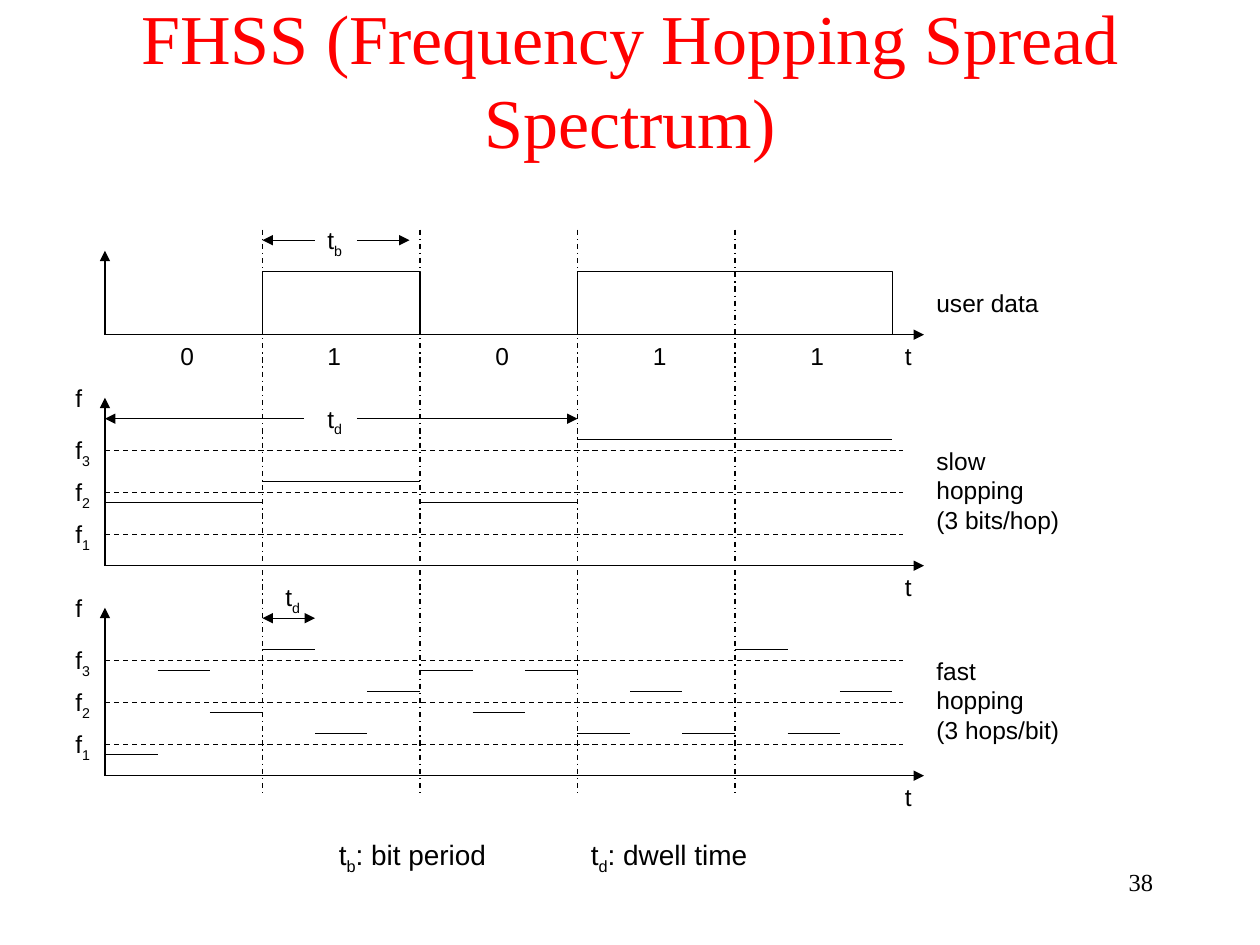
from itertools import groupby

from lxml import etree
from pptx import Presentation
from pptx import util as u
from pptx.dml.color import RGBColor
from pptx.enum import dml, shapes, text
from pptx.oxml.ns import qn

COLORS = {"ink": "000000", "title": "FF0000"}
SANS, SERIF = "Arial", "Times New Roman"
CELL, TOP_SHIFT = 1 / 12, -0.01
BITS = [0, 1, 0, 1, 1]
DIGIT_OFFSETS = [6, 5, 6, 6, 6]
BIT, HOP = 15, 5
LEFT, RIGHT = 10, 88
SLOW_CHANNELS = [2, 2, 2, 3, 3]
FAST_CHANNELS = [1, 3, 2, 3, 1, 2, 3, 2, 3, 1, 2, 1, 3, 1, 2]


def col(number):
    """Return the horizontal place of a grid column."""
    return u.Inches(number * CELL)


def row(number):
    """Return the vertical place of a grid row."""
    return u.Inches(number * CELL + TOP_SHIFT)


def color(name):
    """Return a palette colour."""
    return RGBColor.from_string(COLORS[name])


def style_line(line):
    """Give an outline the common ink and weight."""
    line.color.rgb = color("ink")
    line.width = u.Pt(0.75)


def draw_line(page, start, end, dash=None, head=False, tail=False):
    """Draw a straight line between two grid points."""
    link = page.shapes.add_connector(
        shapes.MSO_CONNECTOR.STRAIGHT,
        col(start[0]), row(start[1]), col(end[0]), row(end[1]))
    style_line(link.line)
    if dash:
        link.line.dash_style = dash
    outline = link.line._get_or_add_ln()
    for tag, wanted in (("a:headEnd", head), ("a:tailEnd", tail)):
        if wanted:
            etree.SubElement(outline, qn(tag), type="triangle")
    etree.SubElement(link._element.spPr, qn("a:effectLst"))


def style_para(para, size, font=SANS, ink="ink"):
    """Set the font of a whole paragraph."""
    para.font.size = u.Pt(size)
    para.font.name = font
    para.font.color.rgb = color(ink)


def add_frame(page, x, y, width, height):
    """Add a text box that does not wrap and return its frame."""
    box = page.shapes.add_textbox(col(x), row(y), col(width), col(height))
    frame = box.text_frame
    frame.word_wrap = False
    frame.auto_size = text.MSO_AUTO_SIZE.SHAPE_TO_FIT_TEXT
    return frame


def add_label(page, x, y, width, *parts, size=14, tab=None):
    """Place one line whose every second part is a subscript."""
    frame = add_frame(page, x, y, width, 4.1 if len(parts) == 1 else 4.4)
    para = frame.paragraphs[0]
    if tab:
        stops = etree.SubElement(para._p.get_or_add_pPr(), qn("a:tabLst"))
        etree.SubElement(stops, qn("a:tab"), pos=str(u.Inches(tab)), algn="l")
    style_para(para, size)
    for index, part in enumerate(parts):
        span = para.add_run()
        span.text = part
        if index % 2:
            span._r.get_or_add_rPr().set("baseline", "-25000")


def add_caption(page, y, width, lines):
    """Place the description to the right of a diagram."""
    frame = add_frame(page, RIGHT, y, width, 1.3 + 2.8 * len(lines))
    frame.text = "\n".join(lines)
    for para in frame.paragraphs:
        style_para(para, 14)


def add_axes(page, base, height):
    """Draw the two axes of a diagram and name the time axis."""
    draw_line(page, (LEFT, base), (LEFT, base - height), tail=True)
    draw_line(page, (LEFT, base), (RIGHT, base), tail=True)
    add_label(page, 85, base, 3.1, "t")


def add_user_data(page, base):
    """Draw the bit sequence as pulses above its digits."""
    add_axes(page, base, 8)
    add_caption(page, base - 5, 12.5, ["user data"])
    for index, (bit, offset) in enumerate(zip(BITS, DIGIT_OFFSETS)):
        add_label(page, LEFT + BIT * index + offset, base, 3.8, str(bit))
    start = LEFT
    for bit, group in groupby(BITS):
        end = start + BIT * len(list(group))
        if bit:
            outline = page.shapes.build_freeform(col(start), row(base))
            outline.add_line_segments(
                [(col(start), row(base - 6)), (col(end), row(base - 6)), (col(end), row(base))],
                close=False)
            pulse = outline.convert_to_shape()
            pulse.shadow.inherit = False
            pulse.fill.background()
            style_line(pulse.line)
        start = end
    draw_line(page, (34, base - 9), (39, base - 9), tail=True)
    draw_line(page, (25, base - 9), (30, base - 9), head=True)
    add_label(page, 30, base - 11, 4, "t", "b")


def add_hopping(page, base, channels, caption):
    """Draw a frequency diagram with one step for each channel used."""
    add_axes(page, base, 16)
    add_caption(page, base - 12, 14.5, caption)
    add_label(page, 6, base - 18, 3.1, "f")
    for channel in (1, 2, 3):
        level = base - 4 * channel + 1
        draw_line(page, (LEFT, level), (86, level), dash=dml.MSO_LINE.DASH)
        add_label(page, 6, level - 2, 4, "f", str(channel))
    step = BIT * len(BITS) // len(channels)
    for index, channel in enumerate(channels):
        bit = BITS[index * step // BIT]
        level = base - 4 * channel + (0 if bit else 2)
        start = LEFT + index * step
        draw_line(page, (start, level), (start + step, level))


def add_dwell_times(page):
    """Mark the dwell time in both hopping diagrams."""
    draw_line(page, (34, 40), (55, 40), tail=True)
    draw_line(page, (LEFT, 40), (29, 40), head=True)
    add_label(page, 30, 38, 4, "t", "d")
    draw_line(page, (25, 59), (25 + HOP, 59), head=True, tail=True)
    add_label(page, 26, 55, 4, "t", "d")


def add_heading(page, width, height):
    """Place the centred title across the given area."""
    box = page.shapes.add_textbox(0, 0, width, height)
    frame = box.text_frame
    frame.word_wrap = True
    frame.vertical_anchor = text.MSO_ANCHOR.MIDDLE
    frame.text = "FHSS (Frequency Hopping Spread Spectrum)"
    para = frame.paragraphs[0]
    para.alignment = text.PP_ALIGN.CENTER
    style_para(para, 40, SERIF, "title")


def add_page_number(page):
    """Place the page number at the lower right."""
    box = page.shapes.add_textbox(col(86), row(82.1), col(25), col(6))
    box.text_frame.word_wrap = True
    box.text_frame.text = "38"
    para = box.text_frame.paragraphs[0]
    para.alignment = text.PP_ALIGN.RIGHT
    style_para(para, 14, SERIF)


def main():
    """Build the slide and save it."""
    deck = Presentation()
    deck.slide_width, deck.slide_height = u.Inches(10), u.Inches(7.5)
    page = deck.slides.add_slide(deck.slide_layouts[6])
    add_page_number(page)
    add_heading(page, deck.slide_width, deck.slide_height // 6)
    add_user_data(page, 32)
    for index in range(1, len(BITS)):
        x = LEFT + BIT * index
        draw_line(page, (x, 22), (x, 76), dash=dml.MSO_LINE.DASH_DOT)
    add_hopping(page, 54, SLOW_CHANNELS, ["slow", "hopping", "(3 bits/hop)"])
    add_hopping(page, 74, FAST_CHANNELS, ["fast", "hopping", "(3 hops/bit)"])
    add_dwell_times(page)
    add_label(page, 31.1, 79.3, 41.3, "t", "b", ": bit period\tt", "d", ": dwell time", size=16, tab=2)
    deck.save("out.pptx")


if __name__ == "__main__":
    main()
